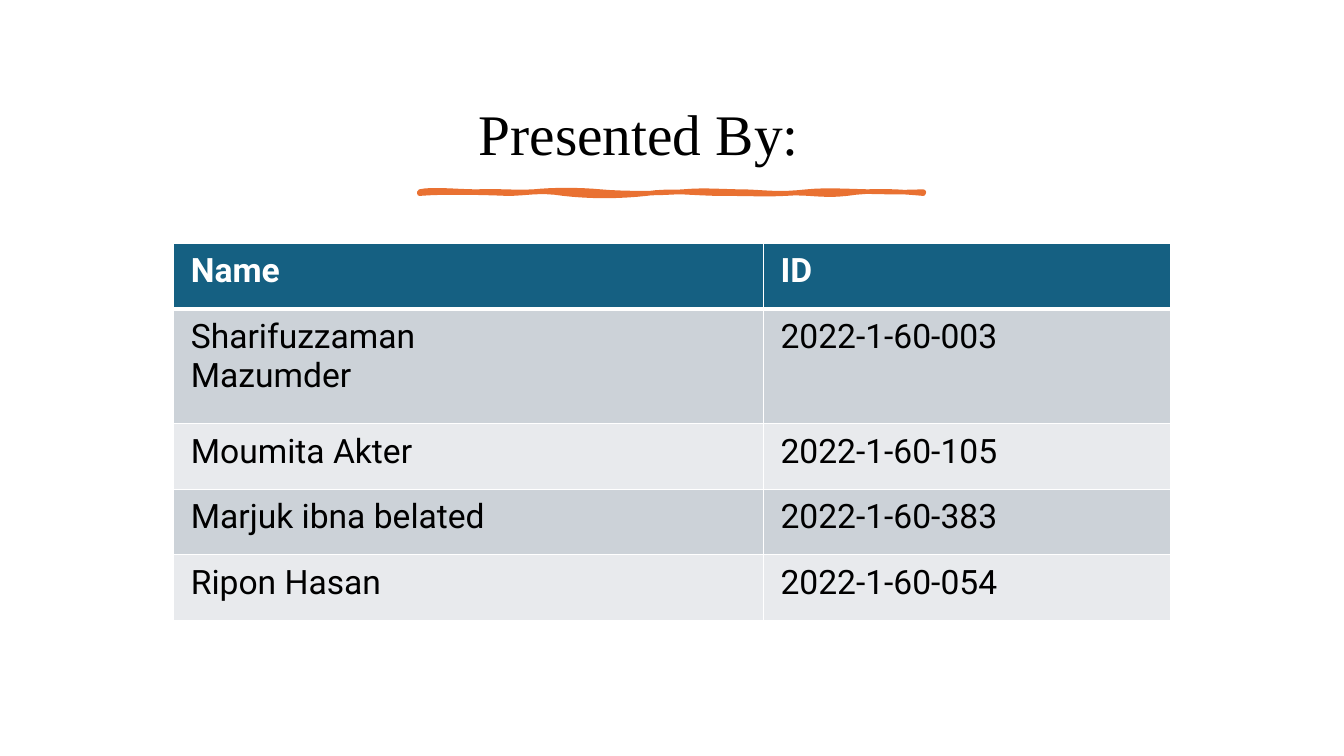
from lxml.etree import SubElement as Sub
from pptx import Presentation
from pptx.dml.color import RGBColor as RGB
from pptx.enum.text import MSO_ANCHOR as Anchor, PP_ALIGN as Align
from pptx.oxml.ns import qn
from pptx.util import Cm, Pt

HUE = {"ink": "000000", "paper": "FFFFFF", "head": "156082",
       "dark": "CCD2D8", "light": "E8EAED", "brush": "E97132"}

ROWS = [("Name", "ID"),
        ("Sharifuzzaman\nMazumder", "2022-1-60-003"),
        ("Moumita Akter", "2022-1-60-105"),
        ("Marjuk ibna belated", "2022-1-60-383"),
        ("Ripon Hasan", "2022-1-60-054")]

# Cubic curves of the brush stroke, on a grid 500 units wide
WAVES = [((12, -3), (38, 0), (57, 0)), ((76, -1), (93, 1), (113, 0)),
         ((133, -2), (158, -2), (180, 0)), ((201, 2), (237, 2), (261, 0)),
         ((286, -2), (298, 0), (323, 0)), ((347, 1), (358, 3), (384, 0)),
         ((410, -3), (451, 2), (500, 0)), ((501, 1), (500, 1), (500, 2)),
         ((479, 0), (449, -2), (424, 2)), ((399, 5), (385, 0), (363, 2)),
         ((340, 3), (331, 2), (301, 2)), ((271, 2), (251, -2), (225, 2)),
         ((198, 5), (169, 5), (143, 2)), ((118, -2), (107, 2), (87, 2)),
         ((67, 1), (22, 0), (0, 2)), ((0, 1), (0, 0), (0, 0))]


def tint(name):
    return RGB.from_string(HUE[name])


def write(frame, text, font="Roboto", size=24, hue="ink", bold=False,
          align=Align.LEFT, line=1.0, after=0):
    """Fill a text frame, one paragraph for each line of text."""
    for i, words in enumerate(text.split("\n")):
        para = frame.add_paragraph() if i else frame.paragraphs[0]
        para.alignment, para.line_spacing = align, line
        para.space_after = Pt(after)
        run = para.add_run()
        run.text = words
        run.font.name, run.font.size, run.font.bold = font, Pt(size), bold
        run.font.color.rgb = tint(hue)


def add_title(slide, x, y, w, h):
    frame = slide.shapes.add_textbox(Cm(x), Cm(y), Cm(w), Cm(h)).text_frame
    frame.word_wrap = True
    frame.vertical_anchor = Anchor.MIDDLE
    write(frame, "Presented By:", font="Times New Roman", size=41,
          align=Align.CENTER, line=0.9, after=6)


def bend(start, curve, steps=8):
    """Return points along a cubic curve, without its start."""
    points = []
    for i in range(1, steps + 1):
        t = i / steps
        parts = ((1 - t) ** 3, 3 * t * (1 - t) ** 2, 3 * t * t * (1 - t), t ** 3)
        points.append(tuple(sum(k * p[axis] for k, p in zip(parts, (start, *curve)))
                            for axis in (0, 1)))
    return points


def add_brush(slide, x, y, w):
    unit = w / 500
    points = [(0, 0)]
    for curve in WAVES:
        points += bend(points[-1], curve)
    spots = [(Cm(x + px * unit), Cm(y + py * unit)) for px, py in points]
    pen = slide.shapes.build_freeform(*spots[0])
    pen.add_line_segments(spots[1:], close=True)
    brush = pen.convert_to_shape()
    brush.shadow.inherit = False
    brush.fill.solid()
    brush.fill.fore_color.rgb = tint("brush")
    brush.line.color.rgb = tint("brush")
    brush.line.width = Pt(3.25)
    Sub(brush.line._get_or_add_ln(), qn("a:round"))


def add_edge(cell, side, width):
    edge = Sub(cell._tc.get_or_add_tcPr(), qn("a:ln" + side), w=str(Pt(width)))
    Sub(Sub(edge, qn("a:solidFill")), qn("a:srgbClr"), val=HUE["paper"])


def add_grid(slide, x, y, cols, tall):
    grid = slide.shapes.add_table(len(tall), len(cols), Cm(x), Cm(y),
                                  Cm(sum(cols)), Cm(sum(tall))).table
    for col, width in zip(grid.columns, cols):
        col.width = Cm(width)
    for r, (row, height) in enumerate(zip(grid.rows, tall)):
        row.height = Cm(height)
        fill = ("dark" if r % 2 else "light") if r else "head"
        for cell, text in zip(row.cells, ROWS[r]):
            cell.margin_left = cell.margin_right = Cm(0.43)
            cell.margin_top = cell.margin_bottom = Cm(0.21)
            for side in "LRTB":
                thick = (r, side) in ((0, "B"), (1, "T"))
                add_edge(cell, side, 3 if thick else 1)
            cell.fill.solid()
            cell.fill.fore_color.rgb = tint(fill)
            write(cell.text_frame, text, hue="ink" if r else "paper", bold=r == 0)


def main():
    deck = Presentation()
    deck.slide_width, deck.slide_height = Cm(33.87), Cm(19.05)
    slide = deck.slides.add_slide(deck.slide_layouts[6])
    add_brush(slide, 10.57, 4.83, 12.7)
    add_grid(slide, 4.38, 6.13, (14.86, 10.26), (1.65, 2.9, 1.65, 1.65, 1.65))
    add_title(slide, 1.22, 2.39, 29.77, 2.13)
    deck.save("out.pptx")


if __name__ == "__main__":
    main()
